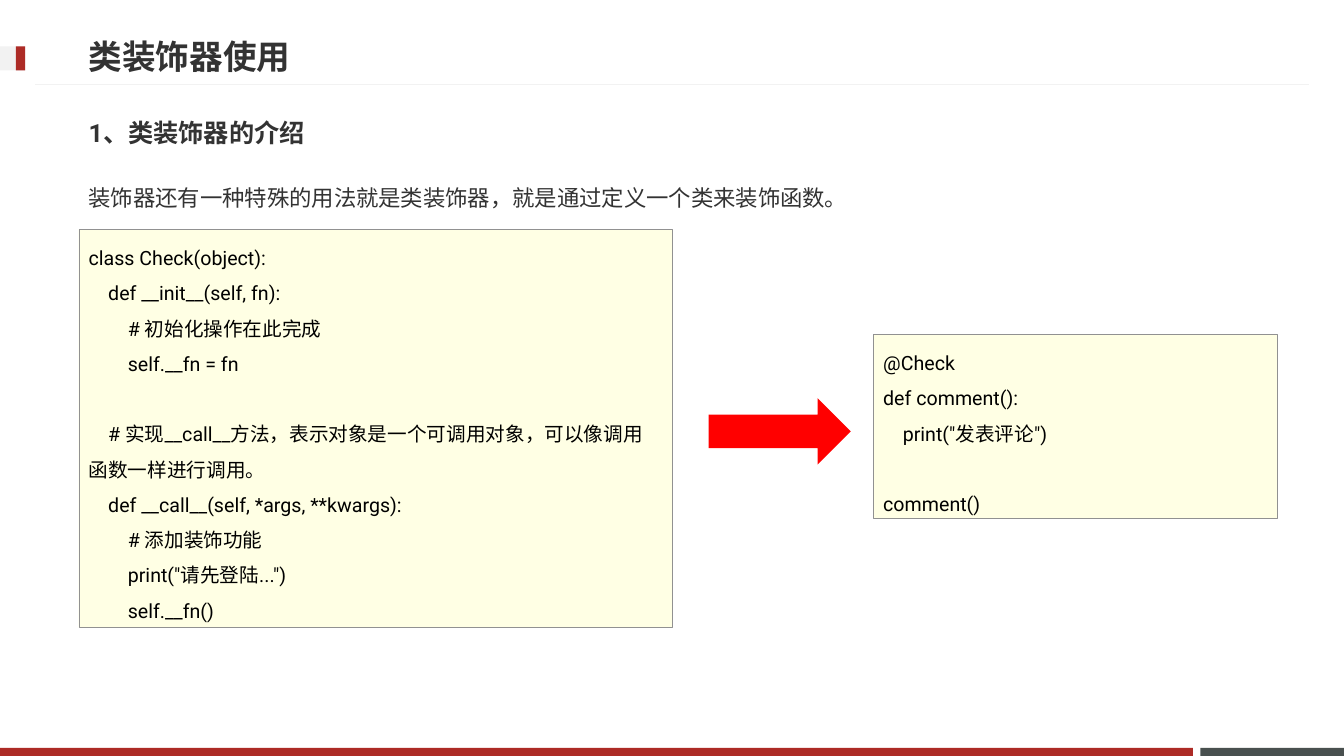
from pptx import Presentation
from pptx.dml.color import RGBColor
from pptx.enum.shapes import MSO_CONNECTOR as LINE, MSO_SHAPE as SHAPE
from pptx.enum.text import MSO_ANCHOR as ANCHOR, PP_ALIGN as ALIGN
from pptx.oxml.ns import qn
from pptx.util import Pt
from lxml import etree

FONT = "Roboto"
COLORS = {"red": "AD2B26", "slate": "49504F", "pale": "F2F2F2", "text": "333333",
          "code": "000000", "code_fill": "FFFFE4", "code_line": "919191",
          "arrow": "FF0000"}
CODE_INDENT = 14   # one indent level
CODE_LINE = 25     # height of one code line

# Each code line: indent level, text, blank lines above
CLASS_CODE = [
    (0, "class Check(object):", 0),
    (1, "def __init__(self, fn):", 0),
    (2, "# 初始化操作在此完成", 0),
    (2, "self.__fn = fn", 0),
    (1, "# 实现__call__方法，表示对象是一个可调用对象，可以像调用函数一样进行调用。", 1),
    (1, "def __call__(self, *args, **kwargs):", 0),
    (2, "# 添加装饰功能", 0),
    (2, 'print("请先登陆...")', 0),
    (2, "self.__fn()", 0),
]
USAGE_CODE = [
    (0, "@Check", 0),
    (0, "def comment():", 0),
    (1, 'print("发表评论")', 0),
    (0, "comment()", 1),
]


def rgb(name):
    return RGBColor.from_string(COLORS[name])


def style(p, size, color, bold=False, spacing=1.0):
    p.alignment = ALIGN.LEFT
    p.line_spacing = spacing
    for r in p.runs:
        r.font.name, r.font.size, r.font.bold = FONT, Pt(size), bold
        r.font.color.rgb = rgb(color)


def add_block(s, kind, box, fill, line=None):
    sp = s.shapes.add_shape(kind, *map(Pt, box))
    sp.shadow.inherit = False
    sp.fill.solid()
    sp.fill.fore_color.rgb = rgb(fill)
    if line:
        sp.line.color.rgb = rgb(line)
        sp.line.width = Pt(0.25)
    else:
        sp.line.fill.background()
    return sp


def add_text(s, box, text, size, bold=False, spacing=1.0, anchor=ANCHOR.TOP):
    tf = s.shapes.add_textbox(*map(Pt, box)).text_frame
    tf.word_wrap = True
    tf.vertical_anchor = anchor
    tf.text = text
    style(tf.paragraphs[0], size, "text", bold, spacing)


def add_frame(s, width, height):
    # Footer bars
    top, bar = height - 5.8, 5.8
    add_block(s, SHAPE.RECTANGLE, (width - 102.5, top, 102.5, bar), "slate")
    add_block(s, SHAPE.RECTANGLE, (0, top, width - 108, bar), "red")
    # Rule under the title
    rule = s.shapes.add_connector(LINE.STRAIGHT, Pt(width - 25.3), Pt(60.3),
                                  Pt(25.3), Pt(60.3))
    rule.line.color.rgb = rgb("pale")
    rule.line.width = Pt(0.75)
    etree.SubElement(rule._element.spPr, qn("a:effectLst"))
    # Title marker
    add_block(s, SHAPE.RECTANGLE, (0, 33.1, 17.9, 17.3), "pale")
    add_block(s, SHAPE.RECTANGLE, (11.4, 33.1, 6.5, 17.3), "red")


def add_title(s, box, text):
    title = s.shapes.title
    title.left, title.top, title.width, title.height = map(Pt, box)
    tf = title.text_frame
    tf.text = text
    tf.vertical_anchor = ANCHOR.MIDDLE
    style(tf.paragraphs[0], 24, "text", bold=True)


def add_code(s, box, lines):
    tf = add_block(s, SHAPE.RECTANGLE, box, "code_fill", "code_line").text_frame
    tf.word_wrap = True
    tf.vertical_anchor = ANCHOR.TOP
    for i, (level, text, blanks) in enumerate(lines):
        p = tf.add_paragraph() if i else tf.paragraphs[0]
        p.text = text
        style(p, 14, "code", spacing=1.5)
        p.space_before = Pt(blanks * CODE_LINE)
        # First-line indent only, so wrapped text returns to the margin
        p._p.get_or_add_pPr().set("indent", str(Pt(level * CODE_INDENT)))


def main():
    prs = Presentation()
    prs.slide_width, prs.slide_height = Pt(960), Pt(540)
    s = prs.slides.add_slide(prs.slide_layouts[5])
    add_frame(s, 960, 540)

    # Headings
    left = 56.2
    add_title(s, (left, 19.4, 690.5, 41), "类装饰器使用")
    add_text(s, (left, 74.2, 846.7, 41), "1、类装饰器的介绍", 18, bold=True,
             anchor=ANCHOR.MIDDLE)
    add_text(s, (left, 118.1, 846.7, 41),
             "装饰器还有一种特殊的用法就是类装饰器，就是通过定义一个类来装饰函数。",
             16, spacing=1.5)

    # Decorator class leads to its use
    add_code(s, (left, 163.8, 424.1, 284.4), CLASS_CODE)
    add_block(s, SHAPE.RIGHT_ARROW, (506.2, 284.4, 101.5, 47.5), "arrow")
    add_code(s, (623.8, 238.7, 288.4, 131.8), USAGE_CODE)
    prs.save("out.pptx")


if __name__ == "__main__":
    main()
